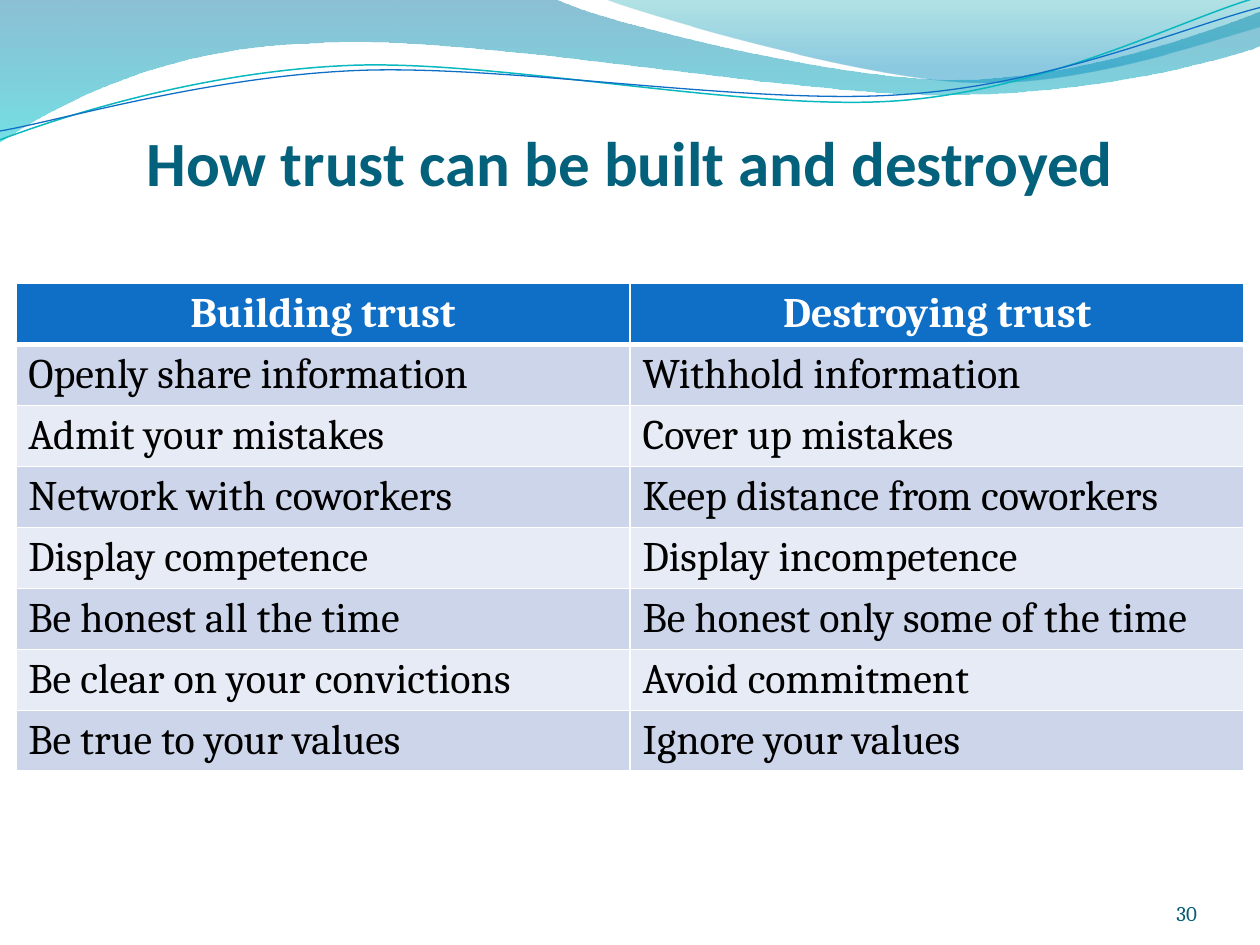
import pptx
import pptx.dml.color
import pptx.enum.text
import pptx.oxml
import pptx.oxml.ns
import pptx.util

Inches = pptx.util.Inches
ALIGN = pptx.enum.text.PP_ALIGN
ANCHOR = pptx.enum.text.MSO_ANCHOR

LEFT_WAVE = [
    [(0, 0)],
    [(4.4, -0.01)],
    [(4.76, 0.17), (6.64, 0.63), (7.58, 0.63)],
    [(8.53, 0.63), (9.58, 0.26), (10, 0.09)],
    [(10.01, 0.36)],
    [(9.83, 0.44), (8.7, 0.76), (7.46, 0.75)],
    [(6.22, 0.75), (3.82, 0.28), (2.57, 0.34)],
    [(1.29, 0.36), (0.46, 0.83), (-0.01, 1.13)],
]
RIGHT_WAVE = [
    [(4.79, -0.01)],
    [(5.09, 0.11), (6.82, 0.62), (7.69, 0.65)],
    [(8.56, 0.69), (9.61, 0.32), (10, 0.21)],
    [(10, 0)],
]
TEAL_LINE = [
    [(0, 1.11)],
    [(0.48, 0.93), (1.58, 0.57), (2.77, 0.52)],
    [(3.95, 0.47), (5.93, 0.89), (7.13, 0.8)],
    [(8.33, 0.71), (9.38, 0.15), (9.98, -0.02)],
]
BLUE_LINE = [
    [(0, 1.04)],
    [(0.47, 0.96), (1.64, 0.61), (2.83, 0.56)],
    [(4.03, 0.51), (5.97, 0.84), (7.17, 0.75)],
    [(8.36, 0.67), (9.41, 0.21), (10, 0.06)],
]
TRUST_ROWS = [
    ("Building trust", "Destroying trust"),
    ("Openly share information", "Withhold information"),
    ("Admit your mistakes", "Cover up mistakes"),
    ("Network with coworkers", "Keep distance from coworkers"),
    ("Display competence", "Display incompetence"),
    ("Be honest all the time", "Be honest only some of the time"),
    ("Be clear on your convictions", "Avoid commitment"),
    ("Be true to your values", "Ignore your values"),
]


def rgb(color):
    """Return the colour for a hex string."""
    return pptx.dml.color.RGBColor.from_string(color)


def add_run(p, text, size, font, color, bold=False):
    """Add one formatted run to a paragraph."""
    r = p.add_run()
    r.text = text
    r.font.size = pptx.util.Pt(size)
    r.font.name = font
    r.font.bold = bold
    r.font.color.rgb = rgb(color)


def add_curve(s, box, segments, close):
    """Add a freeform of lines and cubic curves, relative to the box."""
    left, top = box[:2]
    placed = [[(left + Inches(x), top + Inches(y)) for x, y in segment] for segment in segments]
    builder = s.shapes.build_freeform(*placed[0][0])
    builder.add_line_segments([segment[-1] for segment in placed[1:]], close=close)
    sp = builder.convert_to_shape()
    sp.shadow.inherit = False
    lines = list(sp.element.spPr.iter(pptx.oxml.ns.qn("a:lnTo")))
    for line, segment in zip(lines, placed[1:]):
        if len(segment) == 3:
            points = "".join(f'<a:pt x="{x - sp.left}" y="{y - sp.top}"/>' for x, y in segment)
            curve = pptx.oxml.parse_xml(
                f'<a:cubicBezTo {pptx.oxml.ns.nsdecls("a")}>{points}</a:cubicBezTo>')
            line.getparent().replace(line, curve)
    return sp


def add_wave(s, box, segments, stops):
    """Add a wave with a translucent gradient running downwards."""
    sp = add_curve(s, box, segments, True)
    sp.line.fill.background()
    sp.fill.gradient()
    sp.fill.gradient_angle = 270
    for stop, (position, color, opacity) in zip(sp.fill.gradient_stops, stops):
        stop.position = position
        stop.color.rgb = rgb(color)
    colors = sp.element.spPr.iter(pptx.oxml.ns.qn("a:srgbClr"))
    for element, (position, color, opacity) in zip(colors, stops):
        alpha = pptx.oxml.parse_xml(f'<a:alpha {pptx.oxml.ns.nsdecls("a")} val="{opacity * 1000}"/>')
        element.append(alpha)


def add_header(s, box):
    """Add the two waves and the two thin curves across the top."""
    add_wave(s, box, LEFT_WAVE, [(0, "0074A1", 45), (1, "00C6CF", 55)])
    add_wave(s, box, RIGHT_WAVE, [(0, "00A1A9", 30), (0.8, "008BBF", 45)])
    for segments, color, width in ((TEAL_LINE, "0AB8BF", 0.85), (BLUE_LINE, "0F6FC6", 0.75)):
        sp = add_curve(s, box, segments, False)
        sp.fill.background()
        sp.line.color.rgb = rgb(color)
        sp.line.width = pptx.util.Pt(width)


def set_frame(sp, box, top_inset=0):
    """Place a text shape and return its bottom-anchored frame."""
    sp.left, sp.top, sp.width, sp.height = box
    tf = sp.text_frame
    tf.word_wrap = True
    tf.auto_size = pptx.enum.text.MSO_AUTO_SIZE.NONE
    tf.vertical_anchor = ANCHOR.BOTTOM
    tf.margin_left = tf.margin_right = tf.margin_bottom = 0
    tf.margin_top = top_inset
    return tf


def add_title(s, box):
    """Place and format the title in front of the header."""
    title = s.shapes.title
    title.element.getparent().append(title.element)
    p = set_frame(title, box, Inches(0.05)).paragraphs[0]
    p.alignment = ALIGN.CENTER
    add_run(p, "How trust can be built and destroyed", 36, "Calibri", "04617B", True)


def add_page_number(s, box):
    """Add the page number, right-aligned."""
    p = set_frame(s.shapes.add_textbox(*box), box).paragraphs[0]
    p.alignment = ALIGN.RIGHT
    add_run(p, "30", 12, "Cambria", "045D75")


def set_borders(cell, widths):
    """Give a cell white borders with widths in points by side."""
    tc_pr = cell._tc.get_or_add_tcPr()
    for side, width in widths.items():
        tc_pr.append(pptx.oxml.parse_xml(
            f'<a:ln{side} {pptx.oxml.ns.nsdecls("a")} w="{pptx.util.Pt(width)}">'
            f'<a:solidFill><a:srgbClr val="FFFFFF"/></a:solidFill></a:ln{side}>'))


def add_trust_table(s, box):
    """Add the table that sets building trust against destroying it."""
    table = s.shapes.add_table(len(TRUST_ROWS), 2, *box).table
    for i, row in enumerate(TRUST_ROWS):
        header = i == 0
        fill = "0F6FC6" if header else ("E7EBF5", "CCD5EA")[i % 2]
        for j, text in enumerate(row):
            cell = table.cell(i, j)
            set_borders(cell, {"L": 1, "R": 1, "T": 3 if i == 1 else 1, "B": 3 if header else 1})
            cell.fill.solid()
            cell.fill.fore_color.rgb = rgb(fill)
            p = cell.text_frame.paragraphs[0]
            p.alignment = ALIGN.CENTER if header else ALIGN.LEFT
            add_run(p, text, 24, "Cambria", "FFFFFF" if header else "000000", header)


def main():
    """Build the slide and save it."""
    prs = pptx.Presentation()
    prs.slide_width, prs.slide_height = Inches(10), Inches(7.5)
    s = prs.slides.add_slide(prs.slide_layouts[5])
    add_header(s, (0, 0, prs.slide_width, Inches(1.13)))
    add_page_number(s, (Inches(8.67), Inches(6.95), Inches(0.83), Inches(0.4)))
    add_title(s, (0, Inches(1), prs.slide_width, Inches(0.58)))
    width = Inches(9.75)
    left = (prs.slide_width - width) // 2
    add_trust_table(s, (left, Inches(2.25), width, Inches(0.41 * len(TRUST_ROWS))))
    prs.save("out.pptx")


if __name__ == "__main__":
    main()
